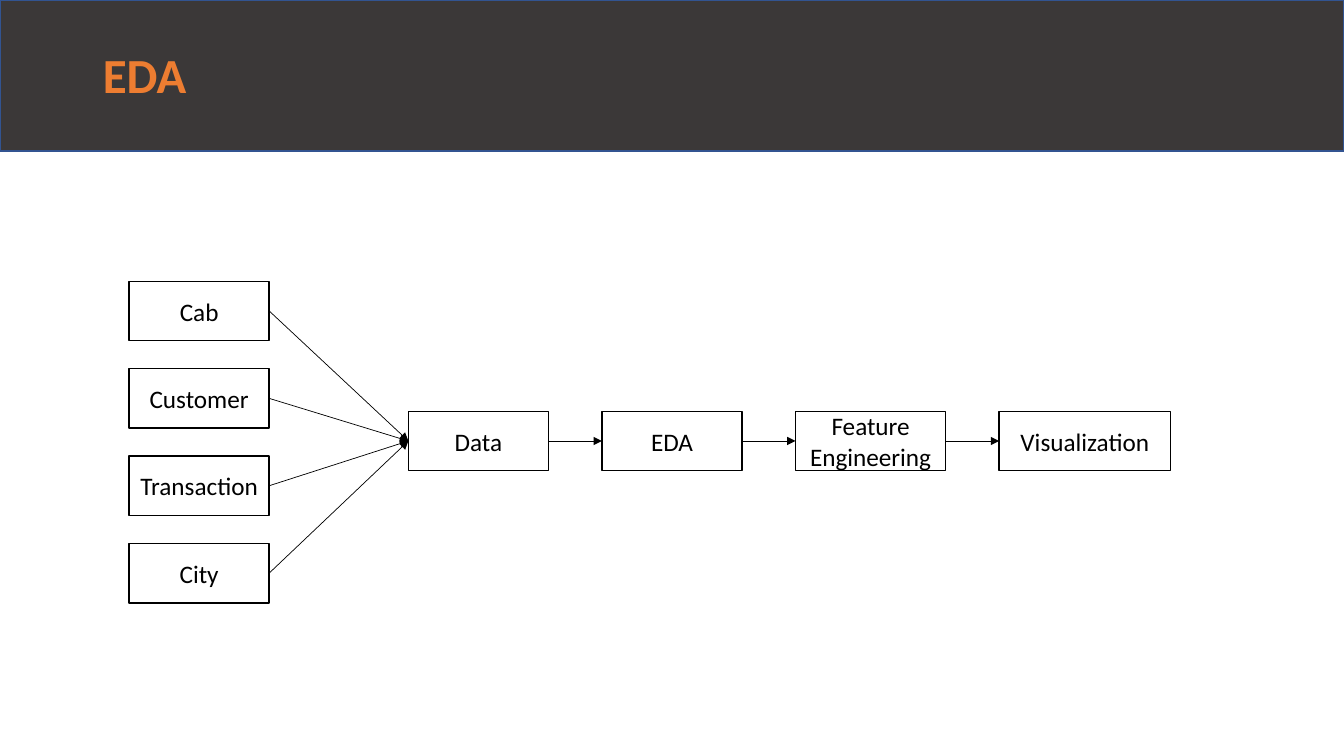
from lxml import etree
from pptx import Presentation, util as u
from pptx.dml.color import RGBColor
from pptx.enum import shapes, text
from pptx.oxml.ns import qn

BLACK, WHITE = "000000", "FFFFFF"
LEFT_SIDE, RIGHT_SIDE = 1, 3  # connection sites of a rectangle

deck = Presentation()
deck.slide_width, deck.slide_height = u.Inches(13.33), u.Inches(7.5)
slide = deck.slides.add_slide(deck.slide_layouts[5])


def add_box(left, top, width, height, fill, line, label=""):
    box = slide.shapes.add_shape(
        shapes.MSO_SHAPE.RECTANGLE, *map(u.Inches, (left, top, width, height)))
    box.shadow.inherit = False
    box.fill.solid()
    box.fill.fore_color.rgb = RGBColor.from_string(fill)
    box.line.color.rgb = RGBColor.from_string(line)
    box.line.width = u.Pt(1)
    box.text_frame.text = label
    box.text_frame.word_wrap = True
    box.text_frame.vertical_anchor = text.MSO_ANCHOR.MIDDLE
    paragraph = box.text_frame.paragraphs[0]
    paragraph.alignment = text.PP_ALIGN.CENTER
    for run in paragraph.runs:
        run.font.size, run.font.name = u.Pt(18), "Calibri"
        run.font.color.rgb = RGBColor.from_string(BLACK)
    return box


def add_arrow(source, target):
    arrow = slide.shapes.add_connector(shapes.MSO_CONNECTOR.STRAIGHT, 0, 0, 0, 0)
    arrow.begin_connect(source, RIGHT_SIDE)
    arrow.end_connect(target, LEFT_SIDE)
    arrow.line.color.rgb = RGBColor.from_string(BLACK)
    arrow.line.width = u.Pt(0.5)
    etree.SubElement(arrow.line._get_or_add_ln(), qn("a:tailEnd"), type="triangle")
    etree.SubElement(arrow._element.spPr, qn("a:effectLst"))


# Header band, placed behind the title
band = add_box(0, 0, 13.33, 1.5, "3B3838", "325491")
slide.shapes._spTree.insert(2, band._element)

# Title
title = slide.shapes.title
title.left, title.top, title.width, title.height = map(
    u.Inches, (0.92, 0.05, 11.5, 1.45))
title.text_frame.text = "EDA"
title.text_frame.auto_size = text.MSO_AUTO_SIZE.NONE
title.text_frame.vertical_anchor = text.MSO_ANCHOR.MIDDLE
heading = title.text_frame.paragraphs[0]
heading.alignment = text.PP_ALIGN.LEFT
heading.line_spacing = 0.9
heading_font = heading.runs[0].font
heading_font.size, heading_font.name, heading_font.bold = u.Pt(35), "Calibri", True
heading_font.color.rgb = RGBColor.from_string("ED7D31")

# Source tables, stacked in one column
BOX_WIDTH, BOX_HEIGHT = 1.39, 0.59
SOURCE_TOP, SOURCE_PITCH = 2.79, 0.867
sources = [
    add_box(1.28, SOURCE_TOP + row * SOURCE_PITCH, BOX_WIDTH, BOX_HEIGHT,
            WHITE, BLACK, name)
    for row, name in enumerate(["Cab", "Customer", "Transaction", "City"])]

# Pipeline stages, left to right with equal gaps
STAGE_GAP = 0.53
stage_left = 4.05
stages = []
for name, width in [("Data", BOX_WIDTH), ("EDA", BOX_WIDTH),
                    ("Feature Engineering", 1.49), ("Visualization", 1.7)]:
    stages.append(add_box(stage_left, 4.08, width, BOX_HEIGHT, WHITE, BLACK, name))
    stage_left += width + STAGE_GAP

# Arrows: every source into the data, then stage to stage
for source in sources:
    add_arrow(source, stages[0])
for stage, following in zip(stages, stages[1:]):
    add_arrow(stage, following)

deck.save("out.pptx")
